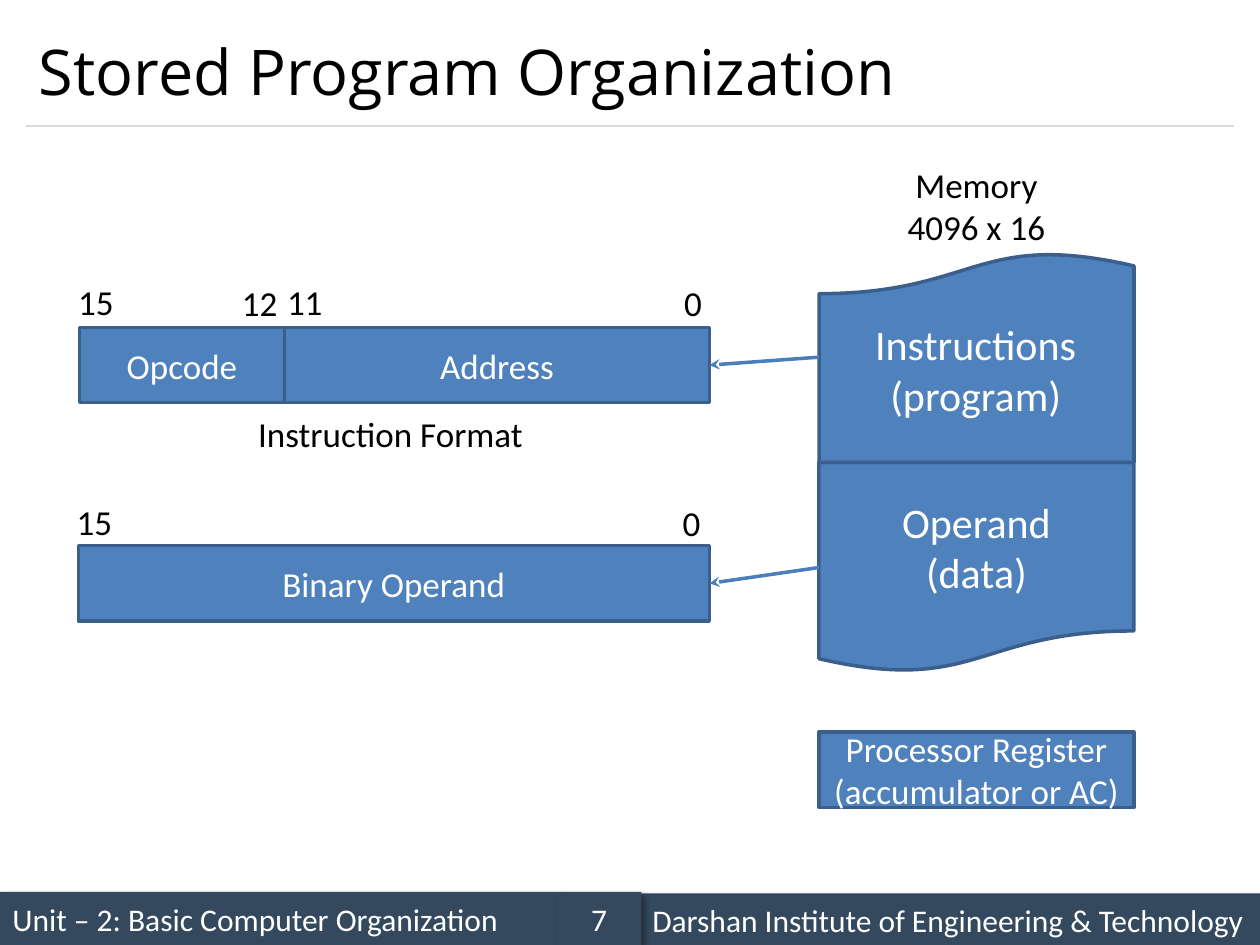
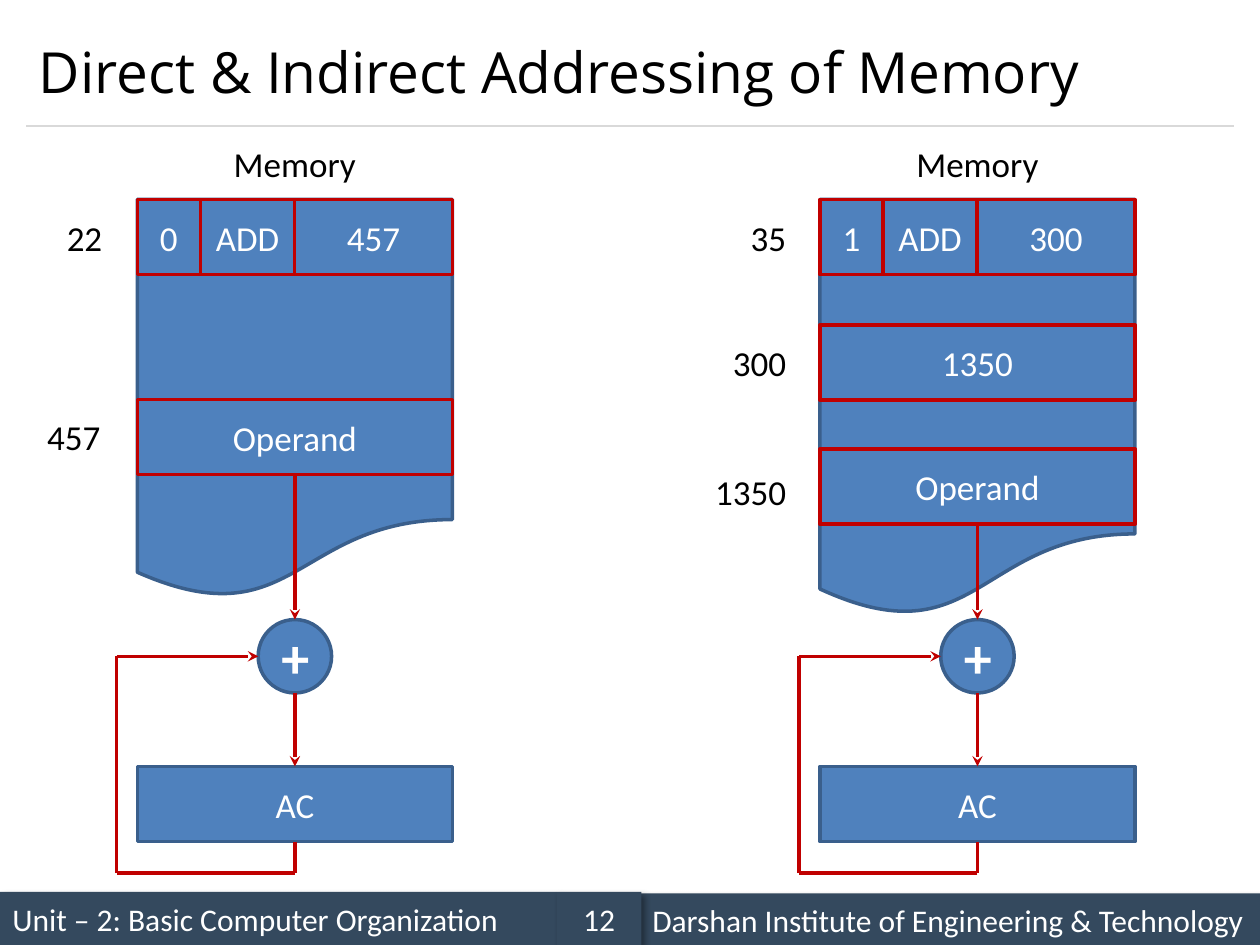
import dataclasses
import typing

import lxml.etree
import pptx
import pptx.dml.color
import pptx.enum.shapes
import pptx.enum.text
import pptx.oxml.ns
import pptx.util

Cm = pptx.util.Cm
Pt = pptx.util.Pt
RGBColor = pptx.dml.color.RGBColor
SHAPE = pptx.enum.shapes.MSO_SHAPE
ALIGN = pptx.enum.text.PP_ALIGN
ANCHOR = pptx.enum.text.MSO_ANCHOR
AUTO_SIZE = pptx.enum.text.MSO_AUTO_SIZE
qn = pptx.oxml.ns.qn

BLACK = RGBColor(0x00, 0x00, 0x00)
WHITE = RGBColor(0xFF, 0xFF, 0xFF)
SLATE = RGBColor(0x34, 0x49, 0x5E)
RULE_GREY = RGBColor(0xD9, 0xD9, 0xD9)
BLUE = RGBColor(0x4F, 0x81, 0xBD)
DARK_BLUE = RGBColor(0x3A, 0x5F, 0x8C)
ARROW_BLUE = RGBColor(0x4B, 0x7E, 0xBC)
RED = RGBColor(0xC0, 0x00, 0x00)

BODY_FONT = "Calibri"
TITLE_FONT = "Open Sans"
ROW_HEIGHT = 1.52
LABEL_HEIGHT = 1.12
MEMORY_WIDTH = 6.35
TOP, LEFT, RIGHT = 0, 1, 3


@dataclasses.dataclass(frozen=True)
class Box:
    left: float
    top: float
    width: float
    height: float = ROW_HEIGHT

    def lengths(self) -> list:
        return [Cm(v) for v in (self.left, self.top, self.width, self.height)]


@dataclasses.dataclass(frozen=True)
class Label:
    text: str
    box: Box


@dataclasses.dataclass(frozen=True)
class MemoryRow:
    top: float
    text: str
    address: str
    address_top: float
    address_width: float


@dataclasses.dataclass(frozen=True)
class MemoryPanel:
    left: float
    height: float
    instruction: tuple
    address: str
    rows: tuple
    address_align: typing.Any


def write(tf, text: str, *, size: float = 20, color=WHITE, bold: bool = False,
          font: str = BODY_FONT, align=ALIGN.CENTER, anchor=ANCHOR.MIDDLE) -> None:
    tf.vertical_anchor = anchor
    for i, line in enumerate(text.split("\n")):
        p = tf.add_paragraph() if i else tf.paragraphs[0]
        p.alignment = align
        r = p.add_run()
        r.text = line
        r.font.name = font
        r.font.size = Pt(size)
        r.font.bold = bold
        r.font.color.rgb = color


def add_box(s, box: Box, text: str = "", kind=SHAPE.RECTANGLE, fill=BLUE,
            line=DARK_BLUE, **fmt):
    sp = s.shapes.add_shape(kind, *box.lengths())
    sp.shadow.inherit = False
    sp.fill.solid()
    sp.fill.fore_color.rgb = fill
    if line is None:
        sp.line.fill.background()
    else:
        sp.line.color.rgb = line
        sp.line.width = Pt(2)
    if text:
        sp.text_frame.word_wrap = True
        write(sp.text_frame, text, **fmt)
    return sp


def add_label(s, label: Label, wrap: bool = True, color=BLACK, **fmt) -> None:
    tf = s.shapes.add_textbox(*label.box.lengths()).text_frame
    tf.word_wrap = wrap
    tf.auto_size = AUTO_SIZE.SHAPE_TO_FIT_TEXT
    write(tf, label.text, color=color, anchor=ANCHOR.TOP, **fmt)


def add_line(s, start: tuple, end: tuple, color=RED, width: float = 2,
             arrow: bool = False):
    cx = s.shapes.add_connector(pptx.enum.shapes.MSO_CONNECTOR.STRAIGHT,
                                *[Cm(v) for v in (*start, *end)])
    cx.line.color.rgb = color
    cx.line.width = Pt(width)
    spPr = cx._element.spPr
    if arrow:
        lxml.etree.SubElement(spPr.find(qn("a:ln")), qn("a:tailEnd"), type="stealth")
    lxml.etree.SubElement(spPr, qn("a:effectLst"))
    return cx


def add_footer_band(s, box: Box, text: str, align) -> None:
    sp = add_box(s, box, text, fill=SLATE, line=None, size=18, align=align)
    effects = sp._element.spPr.find(qn("a:effectLst"))
    shadow = lxml.etree.SubElement(effects, qn("a:outerShdw"), blurRad=str(Pt(4)),
                                   dist=str(Pt(3)), dir="2700000", algn="tl",
                                   rotWithShape="0")
    black = lxml.etree.SubElement(shadow, qn("a:srgbClr"), val="000000")
    lxml.etree.SubElement(black, qn("a:alpha"), val="40000")


def add_slide(prs, title: str, number: int, title_size: float = 36):
    s = prs.slides.add_slide(prs.slide_layouts[5])
    sp = s.shapes.title
    sp.left, sp.top, sp.width, sp.height = Box(0.53, 0.3, 24.33, 2.24).lengths()
    sp.text_frame.auto_size = AUTO_SIZE.NONE
    write(sp.text_frame, title, size=title_size, color=BLACK, font=TITLE_FONT,
          align=ALIGN.LEFT)
    add_line(s, (0.53, 2.54), (24.87, 2.54), RULE_GREY, 0.75)
    add_footer_band(s, Box(0, 17.98, 11.23, 1.07),
                    "Unit – 2: Basic Computer Organization", ALIGN.LEFT)
    add_footer_band(s, Box(12.9, 18.01, 12.5, 1.07),
                    "Darshan Institute of Engineering & Technology", ALIGN.LEFT)
    add_footer_band(s, Box(11.23, 17.98, 1.7, 1.07), str(number), ALIGN.CENTER)
    return s


def build_stored_program(prs) -> None:
    s = add_slide(prs, "Stored Program Organization", 7)
    left = 16.51
    operand = add_box(s, Box(left, 9.32, MEMORY_WIDTH, 4.24), "Operand\n(data)",
                      SHAPE.FLOWCHART_DOCUMENT, size=24)
    program = add_box(s, Box(left, 5.08, MEMORY_WIDTH, 4.24),
                      kind=SHAPE.FLOWCHART_DOCUMENT)
    program.rotation = 180
    add_label(s, Label("Instructions\n(program)", Box(17.37, 6.3, 4.6, 2.31)),
              wrap=False, color=WHITE, size=24)
    add_box(s, Box(left, 14.76, MEMORY_WIDTH), "Processor Register (accumulator or AC)")
    add_box(s, Box(1.6, 6.6, 4.14), "Opcode")
    address = add_box(s, Box(5.74, 6.6, 8.56), "Address")
    binary = add_box(s, Box(1.58, 11, 12.72), "Binary Operand")
    for label in (
        Label("Memory\n4096 x 16", Box(left, 3.18, MEMORY_WIDTH, 1.96)),
        Label("15", Box(1.3, 5.54, 1.27, LABEL_HEIGHT)),
        Label("12", Box(4.55, 5.56, 1.37, LABEL_HEIGHT)),
        Label("11", Box(5.51, 5.54, 1.27, LABEL_HEIGHT)),
        Label("0", Box(13.54, 5.56, 0.76, LABEL_HEIGHT)),
        Label("Instruction Format", Box(4.52, 8.2, 6.71, LABEL_HEIGHT)),
        Label("15", Box(1.27, 9.96, 1.27, LABEL_HEIGHT)),
        Label("0", Box(13.51, 9.98, 0.76, LABEL_HEIGHT)),
    ):
        add_label(s, label)
    to_address = add_line(s, (left, 7.2), (14.3, 7.36), ARROW_BLUE, arrow=True)
    to_address.end_connect(address, RIGHT)
    to_binary = add_line(s, (left, 11.44), (14.3, 11.76), ARROW_BLUE, arrow=True)
    to_binary.begin_connect(operand, LEFT)
    to_binary.end_connect(binary, RIGHT)


def add_address(s, panel: MemoryPanel, text: str, top: float, width: float) -> None:
    box = Box(panel.left - 0.43 - width, top, width, LABEL_HEIGHT)
    add_label(s, Label(text, box), align=panel.address_align)


def add_memory_panel(s, panel: MemoryPanel) -> None:
    left, top = panel.left, 4.02
    center = left + MEMORY_WIDTH / 2
    add_label(s, Label("Memory", Box(left, 2.74, MEMORY_WIDTH, LABEL_HEIGHT)))
    add_box(s, Box(left, top, MEMORY_WIDTH, panel.height), kind=SHAPE.FLOWCHART_DOCUMENT)
    x = left
    for text, width in zip(panel.instruction, (1.27, 1.9, 3.18)):
        add_box(s, Box(x, top, width), text, line=RED)
        x += width
    add_address(s, panel, panel.address, 4.24, 1.27)
    for row in panel.rows:
        operand = add_box(s, Box(left, row.top, MEMORY_WIDTH), row.text, line=RED)
        add_address(s, panel, row.address, row.address_top, row.address_width)

    ac_top, plus_top, plus_size = 15.45, 12.49, 1.48
    plus_middle = plus_top + plus_size / 2
    ac = add_box(s, Box(left, ac_top, MEMORY_WIDTH), "AC")
    plus = add_box(s, Box(center - plus_size / 2, plus_top, plus_size, plus_size), "+",
                   SHAPE.OVAL, size=32, bold=True)
    to_plus = add_line(s, (center, panel.rows[-1].top + ROW_HEIGHT), (center, plus_top),
                       arrow=True)
    to_plus.begin_connect(operand, 2)
    to_plus.end_connect(plus, TOP)
    to_ac = add_line(s, (center, plus_top + plus_size), (center, ac_top), arrow=True)
    to_ac.end_connect(ac, TOP)

    loop_left, loop_bottom = left - 0.42, 17.6
    from_ac = add_line(s, (center, ac_top + ROW_HEIGHT), (center, loop_bottom))
    from_ac.begin_connect(ac, 2)
    add_line(s, (center, loop_bottom), (loop_left, loop_bottom))
    add_line(s, (loop_left, loop_bottom), (loop_left, plus_middle))
    add_line(s, (loop_left, plus_middle), (center - plus_size / 2, plus_middle), arrow=True)


def build_addressing(prs) -> None:
    s = add_slide(prs, "Direct & Indirect Addressing of Memory", 12, title_size=32.4)
    direct = MemoryPanel(
        2.77, 8.05, ("0", "ADD", "457"), "22",
        (MemoryRow(8.05, "Operand", "457", 8.26, 1.7),), ALIGN.CENTER)
    indirect = MemoryPanel(
        16.53, 8.41, ("1", "ADD", "300"), "35",
        (MemoryRow(6.55, "1350", "300", 6.76, 2.13),
         MemoryRow(9.05, "Operand", "1350", 9.37, 2.13)), ALIGN.RIGHT)
    for panel in (direct, indirect):
        add_memory_panel(s, panel)


def main() -> None:
    prs = pptx.Presentation()
    prs.slide_width, prs.slide_height = Cm(25.4), Cm(19.05)
    build_stored_program(prs)
    build_addressing(prs)
    prs.save("out.pptx")


if __name__ == "__main__":
    main()
